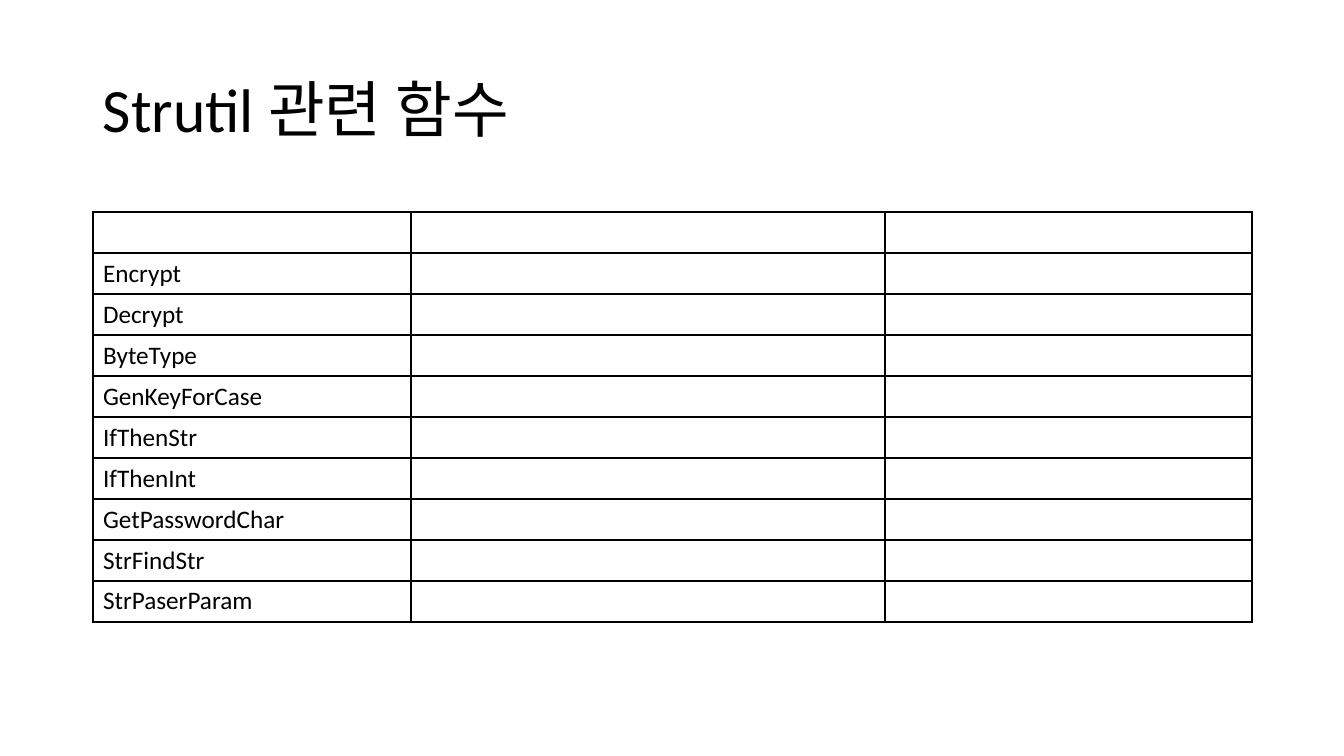
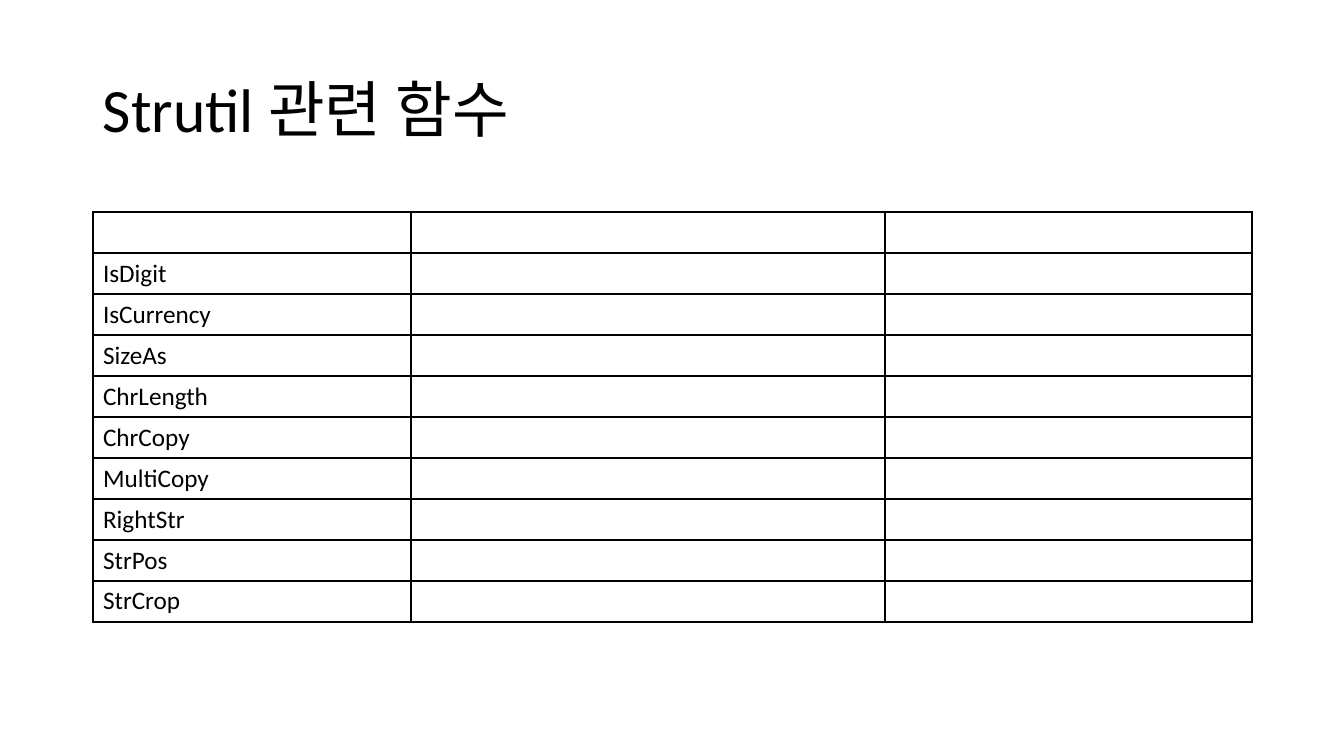
from lxml import etree
from pptx import Presentation
from pptx.dml.color import RGBColor
from pptx.enum.text import MSO_ANCHOR
from pptx.oxml.ns import qn
from pptx.util import Emu, Pt

MIDDLE = MSO_ANCHOR.MIDDLE
SCALE = 914400 / 100.8
SLIDE_SIZE = (1344, 756)
FONT = "Calibri"
COLORS = {"text": "000000", "border": "000000", "background": "FFFFFF"}

TITLE = "Strutil 관련 함수"
TITLE_BOX = (93, 40, 1159, 146)
TABLE_ORIGIN = (93, 212)
COLUMN_WIDTHS = (318, 474, 367)
ROW_HEIGHT = 41
BORDER_SIDES = ("a:lnL", "a:lnR", "a:lnT", "a:lnB")

FUNCTION_GROUPS = (
    ("Encrypt", "Decrypt", "ByteType", "GenKeyForCase", "IfThenStr",
     "IfThenInt", "GetPasswordChar", "StrFindStr", "StrPaserParam"),
    ("IsDigit", "IsCurrency", "SizeAs", "ChrLength", "ChrCopy",
     "MultiCopy", "RightStr", "StrPos", "StrCrop"),
)


def px(length):
    """Convert pixels to EMU."""
    return Emu(round(length * SCALE))


def write_text(text_frame, text, size=18, color="text", line_spacing=None):
    """Write one formatted paragraph into a text frame."""
    paragraph = text_frame.paragraphs[0]
    paragraph.line_spacing = line_spacing
    run = paragraph.add_run()
    run.text = text
    run.font.name = FONT
    run.font.size = Pt(size)
    run.font.color.rgb = RGBColor.from_string(COLORS[color])


def set_borders(cell, color="border", width=1):
    """Draw a solid line on every side of a table cell."""
    properties = cell._tc.get_or_add_tcPr()
    for side in BORDER_SIDES:
        line = etree.SubElement(properties, qn(side), w=str(Pt(width)))
        fill = etree.SubElement(line, qn("a:solidFill"))
        etree.SubElement(fill, qn("a:srgbClr"), val=COLORS[color])


def add_title(slide, text):
    """Add the slide title, centred vertically in its box."""
    shape = slide.shapes.add_textbox(*map(px, TITLE_BOX))
    shape.text_frame.word_wrap = True
    shape.text_frame.vertical_anchor = MIDDLE
    write_text(shape.text_frame, text, size=44, line_spacing=0.9)


def add_function_table(slide, names):
    """Add a bordered table with an empty header and names in column one."""
    row_count = len(names) + 1
    size = (sum(COLUMN_WIDTHS), row_count * ROW_HEIGHT)
    table = slide.shapes.add_table(
        row_count, len(COLUMN_WIDTHS), *map(px, TABLE_ORIGIN + size)).table
    table.first_row = False
    table.horz_banding = False
    for column, width in zip(table.columns, COLUMN_WIDTHS):
        column.width = px(width)
    for row in table.rows:
        row.height = px(ROW_HEIGHT)
    for cell in table.iter_cells():
        set_borders(cell)
        cell.fill.background()
    for row_index, name in enumerate(names, start=1):
        write_text(table.cell(row_index, 0).text_frame, name)


def add_function_slide(presentation, names):
    """Add one slide listing a group of functions."""
    slide = presentation.slides.add_slide(presentation.slide_layouts[6])
    slide.background.fill.solid()
    slide.background.fill.fore_color.rgb = RGBColor.from_string(COLORS["background"])
    add_function_table(slide, names)
    add_title(slide, TITLE)


def main():
    """Build and save the presentation."""
    presentation = Presentation()
    presentation.slide_width, presentation.slide_height = map(px, SLIDE_SIZE)
    for names in FUNCTION_GROUPS:
        add_function_slide(presentation, names)
    presentation.save("out.pptx")


main()
